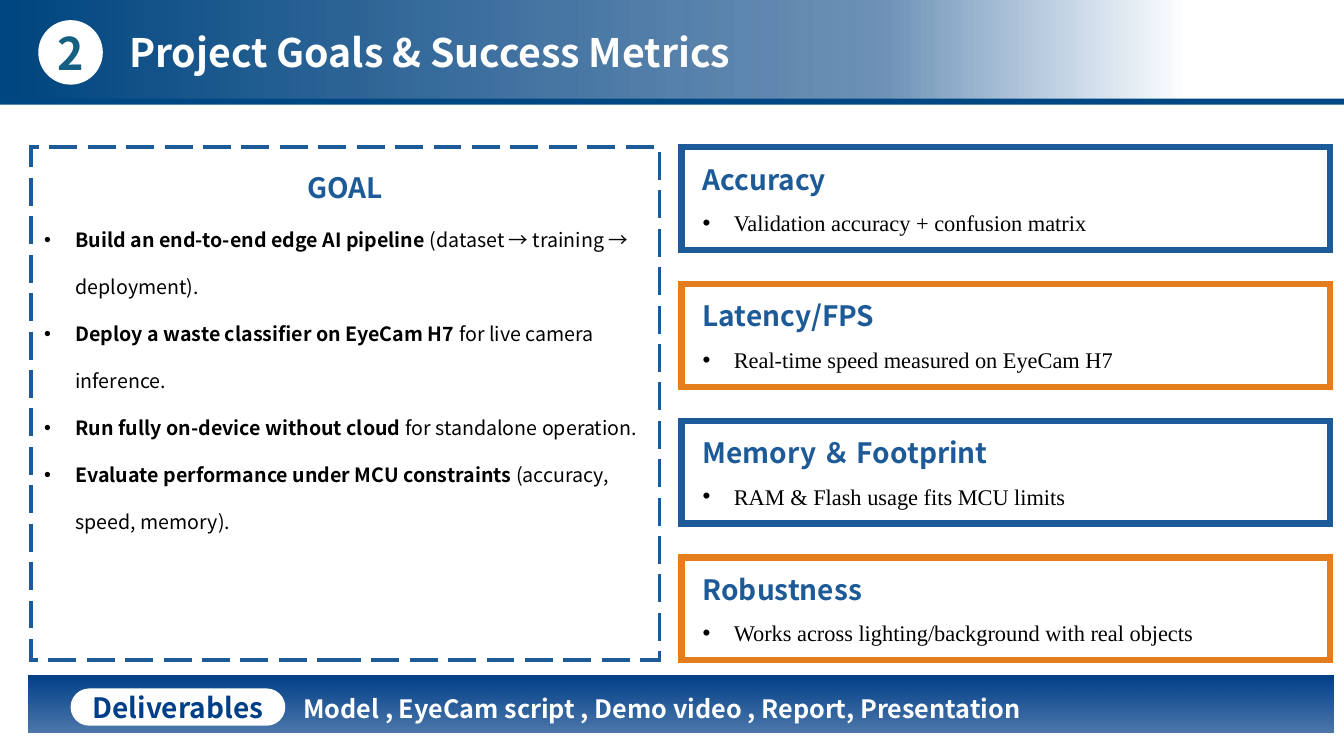
from lxml import etree
from pptx import Presentation
from pptx.dml.color import RGBColor
from pptx.enum.dml import MSO_LINE
from pptx.enum.shapes import MSO_SHAPE as SHAPE
from pptx.enum.text import MSO_ANCHOR as ANCHOR, MSO_AUTO_SIZE, PP_ALIGN as ALIGN
from pptx.oxml import parse_xml
from pptx.oxml.ns import nsdecls, qn
from pptx.util import Inches, Pt

TITLE = "Project Goals & Success Metrics"
NUMBER = "2"
GOAL_HEAD = "GOAL"
GOALS = [
    ("Build an end-to-end edge AI pipeline", " (dataset → training → deployment)."),
    ("Deploy a waste classifier on EyeCam H7", " for live camera inference."),
    ("Run fully on-device without cloud", " for standalone operation."),
    ("Evaluate performance under MCU constraints", " (accuracy, speed, memory)."),
]
METRICS = [
    ("Accuracy", "Validation accuracy + confusion matrix"),
    ("Latency/FPS", "Real-time speed measured on EyeCam H7"),
    ("Memory ＆ Footprint", "RAM & Flash usage fits MCU limits"),
    ("Robustness", "Works across lighting/background with real objects"),
]
DELIVERABLES_HEAD = "Deliverables"
DELIVERABLES = "Model , EyeCam script , Demo video , Report, Presentation"

SANS, SERIF = "Noto Sans CJK SC", "Times New Roman"
WHITE = RGBColor(0xFF, 0xFF, 0xFF)
BLACK = RGBColor(0, 0, 0)
BLUE = RGBColor(0x1D, 0x5A, 0x98)
ORANGE = RGBColor(0xE4, 0x7D, 0x1D)
TEAL = RGBColor(0x15, 0x60, 0x82)
NAVY = RGBColor(0x00, 0x3F, 0x88)
RULE = RGBColor(0x00, 0x48, 0x84)
# Gradient stops: position %, colour, opacity %
HEADER_STOPS = [(0, RGBColor(0x00, 0x46, 0x80), 100),
                (66, RGBColor(0x11, 0x4C, 0x88), 60),
                (88, RGBColor(0x14, 0x5A, 0xA1), 0)]
FOOTER_STOPS = [(0, NAVY, 100), (100, NAVY, 70)]

HEADING = dict(size=Pt(20), name=SANS, bold=True)
GOAL_TEXT = dict(size=Pt(14), name=SANS)
METRIC_TEXT = dict(size=Pt(16), name=SERIF, bold=False)

CARD_LEFT, CARD_TOP, LAST_CARD_TOP = 6.76, 1.46, 5.53
CARD_W, CARD_H = 6.43, 1.02
CARD_STEP = (LAST_CARD_TOP - CARD_TOP) / (len(METRICS) - 1)

prs = Presentation()
prs.slide_width, prs.slide_height = Inches(13.33), Inches(7.5)
slide = prs.slides.add_slide(prs.slide_layouts[5])


def add_shape(kind, box, fill=None, line=None, width=0, dash=None):
    """Add a preset shape; an outline gets square (mitred) corners."""
    sp = slide.shapes.add_shape(kind, *map(Inches, box))
    sp.shadow.inherit = False
    if fill is None:
        sp.fill.background()
    else:
        sp.fill.solid()
        sp.fill.fore_color.rgb = fill
    if line is None:
        sp.line.fill.background()
    else:
        sp.line.color.rgb = line
        sp.line.width = Pt(width)
        sp.line.dash_style = dash
        ln = sp._element.spPr.find(qn("a:ln"))
        etree.SubElement(ln, qn("a:miter")).set("lim", "800000")
    return sp


def set_gradient(sp, stops, angle):
    gs = "".join(
        f'<a:gs pos="{pos * 1000}"><a:srgbClr val="{color}">'
        f'<a:alpha val="{alpha * 1000}"/></a:srgbClr></a:gs>'
        for pos, color, alpha in stops)
    grad = parse_xml(f'<a:gradFill {nsdecls("a")} rotWithShape="1"><a:gsLst>{gs}</a:gsLst>'
                     f'<a:lin ang="{angle * 60000}" scaled="0"/></a:gradFill>')
    spPr = sp._element.spPr
    spPr.replace(spPr.find(qn("a:solidFill")), grad)


def add_textbox(box):
    tf = slide.shapes.add_textbox(*map(Inches, box)).text_frame
    tf.word_wrap = True
    return tf


def add_run(p, text, color, **fmt):
    r = p.add_run()
    r.text = text
    r.font.color.rgb = color
    for key, value in fmt.items():
        setattr(r.font, key, value)
    ea = etree.SubElement(r._r.get_or_add_rPr(), qn("a:ea"))
    ea.set("typeface", fmt["name"])


def add_bullet(tf, spacing):
    p = tf.add_paragraph()
    p.line_spacing = spacing
    pPr = p._p.get_or_add_pPr()
    pPr.set("marL", str(Inches(0.31)))
    pPr.set("indent", str(-Inches(0.31)))
    font = etree.SubElement(pPr, qn("a:buFont"))
    font.set("typeface", "Arial")
    etree.SubElement(pPr, qn("a:buChar")).set("char", "•")
    return p


def add_label(sp, text, color, **fmt):
    """Centre one line of text in a shape."""
    tf = sp.text_frame
    tf.vertical_anchor = ANCHOR.MIDDLE
    tf.word_wrap = False
    p = tf.paragraphs[0]
    p.alignment = ALIGN.CENTER
    add_run(p, text, color, **fmt)


# Header
header = add_shape(SHAPE.RECTANGLE, (-0.01, 0, 13.34, 0.99), WHITE)
set_gradient(header, HEADER_STOPS, 0)
add_shape(SHAPE.RECTANGLE, (-0.01, 0.98, 13.34, 0.06), RULE)

title = slide.shapes.title
slide.shapes._spTree.append(title._element)  # bring in front of the header band
title.left, title.top, title.width, title.height = map(Inches, (1.18, 0.23, 6.5, 0.57))
tf = title.text_frame
tf.auto_size = MSO_AUTO_SIZE.NONE
tf.word_wrap = False
tf.vertical_anchor = ANCHOR.TOP
tf.paragraphs[0].alignment = ALIGN.LEFT
add_run(tf.paragraphs[0], TITLE, WHITE, size=Pt(28), name=SANS, bold=True)

badge = add_shape(SHAPE.OVAL, (0.38, 0.2, 0.64, 0.64), WHITE)
add_label(badge, NUMBER, TEAL, size=Pt(32), name=SANS, bold=True)

# Goal panel
add_shape(SHAPE.RECTANGLE, (0.31, 1.46, 6.23, 5.09), line=BLUE, width=2.5,
          dash=MSO_LINE.LONG_DASH)
tf = add_textbox((0.34, 1.31, 6.16, 4.85))
p = tf.paragraphs[0]
p.alignment = ALIGN.CENTER
p.line_spacing = 2.0
add_run(p, GOAL_HEAD, BLUE, **HEADING)
for lead, rest in GOALS:
    p = add_bullet(tf, 2.0)
    add_run(p, lead, BLACK, bold=True, **GOAL_TEXT)
    add_run(p, rest, BLACK, bold=False, **GOAL_TEXT)

# Metric cards
for i, (name, detail) in enumerate(METRICS):
    top = CARD_TOP + i * CARD_STEP
    add_shape(SHAPE.RECTANGLE, (CARD_LEFT, top, CARD_W, CARD_H), WHITE,
              (BLUE, ORANGE)[i % 2], 4.5)
    tf = add_textbox((CARD_LEFT + 0.11, top + 0.1, CARD_W - 0.22, 0.79))
    add_run(tf.paragraphs[0], name, BLUE, **HEADING)
    add_run(add_bullet(tf, 1.5), detail, BLACK, **METRIC_TEXT)

# Deliverables bar
footer = add_shape(SHAPE.RECTANGLE, (0.28, 6.7, 12.95, 0.57), NAVY)
set_gradient(footer, FOOTER_STOPS, 90)
pill = add_shape(SHAPE.ROUNDED_RECTANGLE, (0.7, 6.83, 2.13, 0.37), WHITE)
pill.adjustments[0] = 0.5
add_label(pill, DELIVERABLES_HEAD, NAVY, **HEADING)
p = add_textbox((2.91, 6.74, 9.95, 0.46)).paragraphs[0]
p.alignment = ALIGN.JUSTIFY
p.line_spacing = 1.3
add_run(p, DELIVERABLES, WHITE, size=Pt(18), name=SANS, bold=True)

prs.save("out.pptx")
